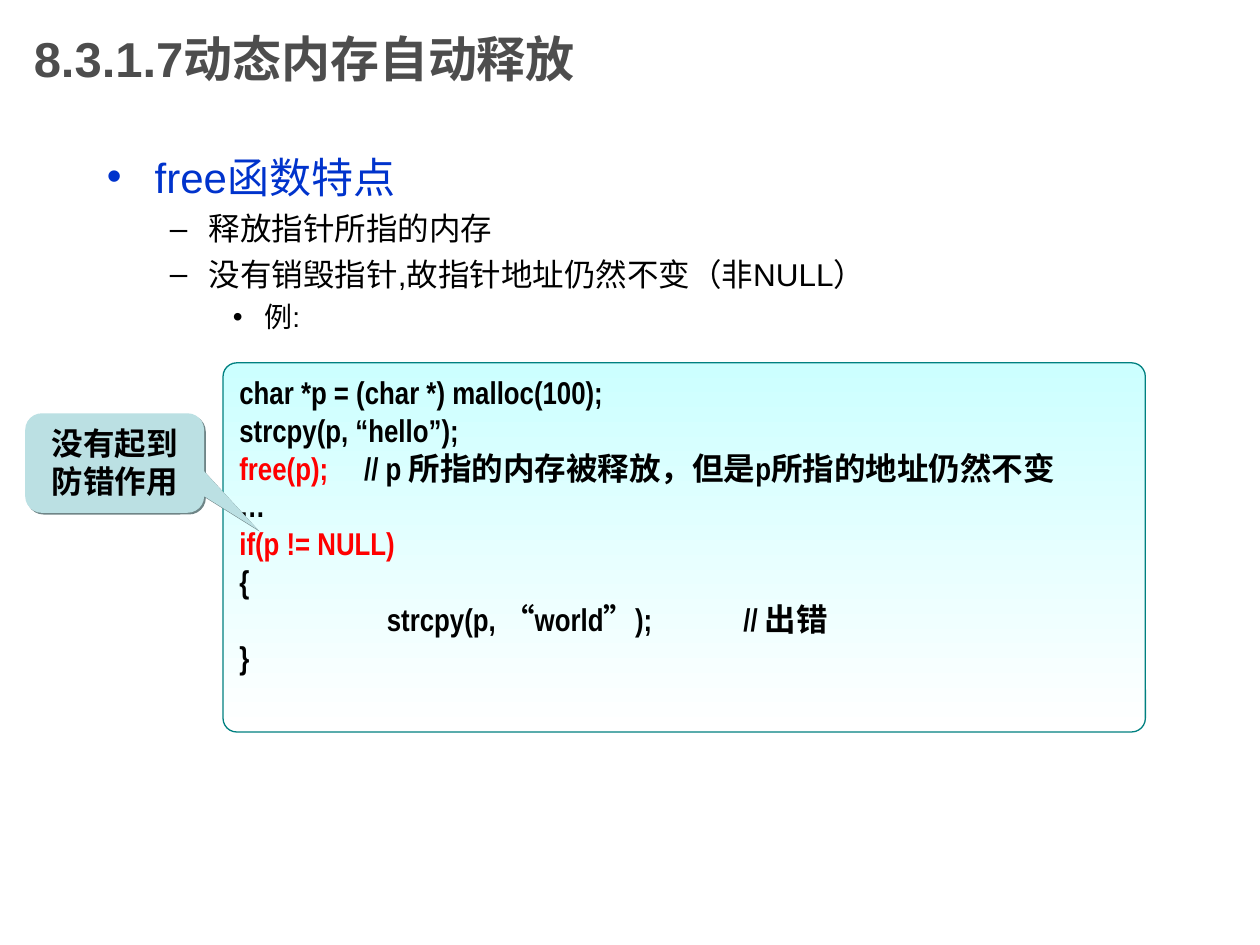
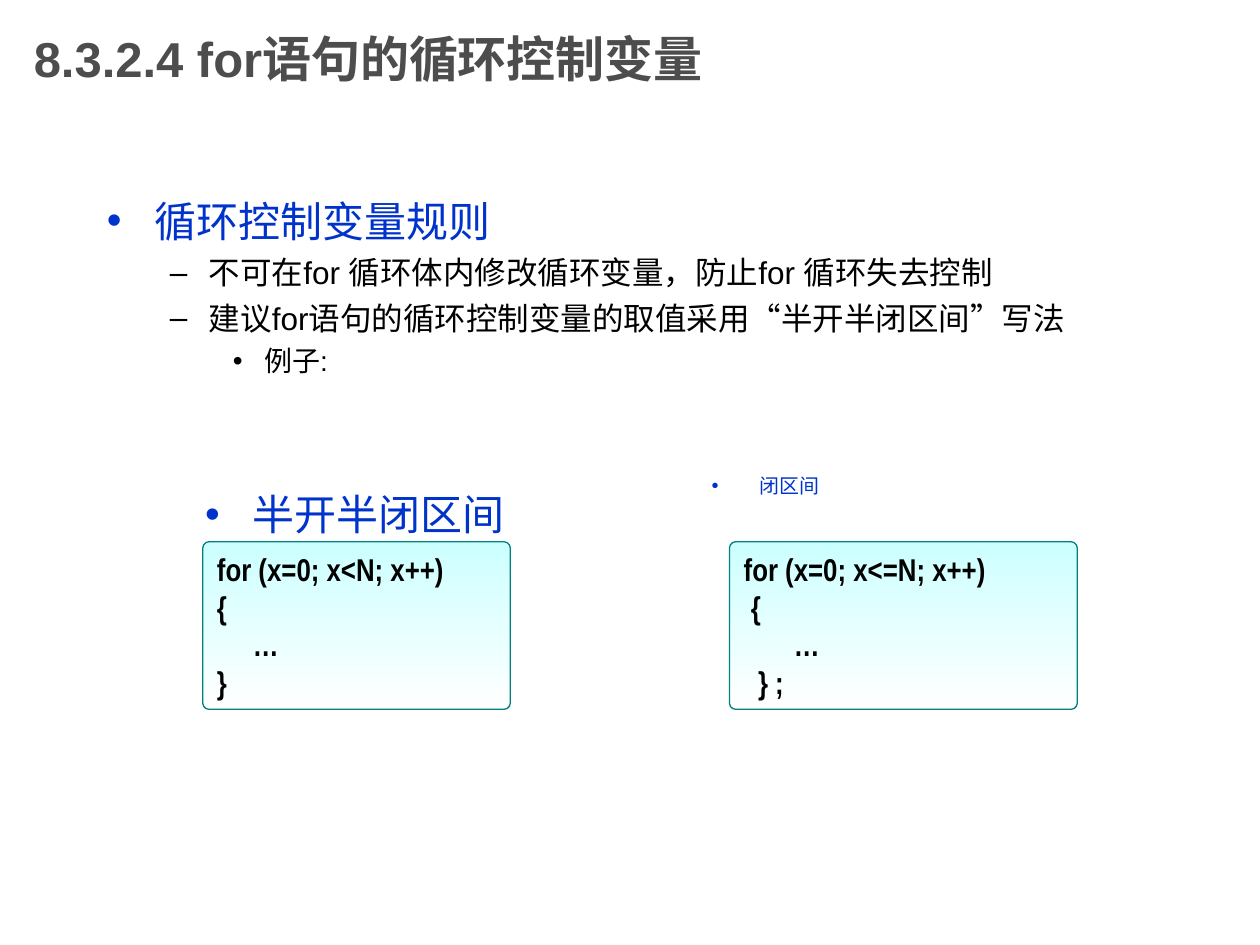
"""Build two slides on memory release and for-loop control variables."""
from lxml import etree
from pptx import Presentation
from pptx.dml.color import RGBColor
from pptx.enum.shapes import MSO_SHAPE
from pptx.enum.text import MSO_ANCHOR, PP_ALIGN
from pptx.oxml.ns import qn
from pptx.util import Inches, Pt

ROUNDED = MSO_SHAPE.ROUNDED_RECTANGLE
CALLOUT = MSO_SHAPE.ROUNDED_RECTANGULAR_CALLOUT
MIDDLE, TOP = MSO_ANCHOR.MIDDLE, MSO_ANCHOR.TOP
LEFT, CENTER = PP_ALIGN.LEFT, PP_ALIGN.CENTER

COLORS = {
    "title": "4D4D4D", "topic": "0033CC", "text": "000000", "alert": "FF0000",
    "code_top": "CCFFFF", "code_bottom": "FFFFFF", "code_line": "008080",
    "callout": "BBE0E3", "callout_shadow": "6F8587",
}
FONTS = {
    "title": {"name": "Arial", "size": Pt(28), "bold": True},
    "topic": {"name": "Arial", "size": Pt(24)},
    "point": {"name": "Arial", "size": Pt(18)},
    "example": {"name": "Arial", "size": Pt(16)},
    "small_topic": {"name": "Arial", "size": Pt(11.4)},
    "code": {"name": "Arial Narrow", "size": Pt(18), "bold": True},
}
BULLETS = {
    "topic": ("•", 0.38, 0.38, 6),
    "small_topic": ("•", 0.38, 0.38, 6),
    "point": ("–", 0.81, 0.31, 4.5),
    "example": ("•", 1.25, 0.25, 4),
}
TAB_STOPS = range(1, 9)

deck = Presentation()
deck.slide_width, deck.slide_height = Inches(10), Inches(7.5)
COLUMN, ROW = deck.slide_width / 100, deck.slide_height / 75


def add_box(page, cells, kind=None):
    """Place a text box or a shape on the grid of 100 columns and 75 rows."""
    left, top, width, height = cells
    area = [round(n) for n in (left * COLUMN, top * ROW, width * COLUMN, height * ROW)]
    box = page.shapes.add_shape(kind, *area) if kind else page.shapes.add_textbox(*area)
    box.text_frame.word_wrap = True
    box.text_frame.vertical_anchor = TOP
    return box


def write(box, lines, align=LEFT):
    """Write lines of (style, (text, color), ...) into a box."""
    for index, (style, *spans) in enumerate(lines):
        frame = box.text_frame
        para = frame.add_paragraph() if index else frame.paragraphs[0]
        para.alignment = align
        properties = para._p.get_or_add_pPr()
        if style in BULLETS:
            mark, margin, hanging, space = BULLETS[style]
            properties.set("marL", str(Inches(margin)))
            properties.set("indent", str(-Inches(hanging)))
            etree.SubElement(properties, qn("a:buFont"), typeface="Arial")
            etree.SubElement(properties, qn("a:buChar"), char=mark)
            if index:
                para.space_before = Pt(space)
        if style == "small_topic":
            para.line_spacing = 0.8
        if style == "code":
            tabs = etree.SubElement(properties, qn("a:tabLst"))
            for stop in TAB_STOPS:
                etree.SubElement(tabs, qn("a:tab"), pos=str(Inches(stop)), algn="l")
        for text, color in spans:
            span = para.add_run()
            span.text = text
            for name, value in FONTS[style].items():
                setattr(span.font, name, value)
            span.font.color.rgb = RGBColor.from_string(COLORS[color])


SLIDES = [
    {
        "title": "8.3.1.7动态内存自动释放",
        "outlines": [
            ((7.5, 11.5, 85, 17.3), [
                ("topic", ("free函数特点", "topic")),
                ("point", ("释放指针所指的内存", "text")),
                ("point", ("没有销毁指针,故指针地址仍然不变（非NULL）", "text")),
                ("example", ("例:", "text")),
            ]),
        ],
        "codes": [
            ((17.7, 28.8, 73.2, 29.3), [
                [("char *p = (char *) malloc(100);", "text")],
                [("strcpy(p, “hello”);", "text")],
                [("free(p);", "alert"),
                 ("     // p 所指的内存被释放，但是p所指的地址仍然不变", "text")],
                [("…", "text")],
                [("if(p != NULL)", "alert")],
                [("{", "text")],
                [("\t   strcpy(p, “world”);\t// 出错", "text")],
                [("}", "text")],
            ]),
        ],
        "callouts": [((2, 32.8, 14.2, 7.9), "没有起到防错作用")],
    },
    {
        "title": "8.3.2.4 for语句的循环控制变量",
        "outlines": [
            ((7.5, 15, 85, 19.4), [
                ("topic", ("循环控制变量规则", "topic")),
                ("point", ("不可在for 循环体内修改循环变量，防止for 循环失去控制", "text")),
                ("point", ("建议for语句的循环控制变量的取值采用“半开半闭区间”写法", "text")),
                ("example", ("例子:", "text")),
            ]),
            ((15.3, 38.3, 34.7, 23.6), [("topic", ("半开半闭区间", "topic"))]),
            ((55.5, 37.5, 41.7, 5.5), [("small_topic", ("闭区间", "topic"))]),
        ],
        "codes": [
            ((16.1, 43, 24.4, 13.3), [
                [(line, "text")] for line in ("for (x=0; x<N; x++)", "{", "     …", "}")
            ]),
            ((57.9, 43, 27.6, 13.3), [
                [(line, "text")] for line in ("for (x=0; x<=N; x++)", " {", "       …", "  } ;")
            ]),
        ],
        "callouts": [],
    },
]

for content in SLIDES:
    page = deck.slides.add_slide(deck.slide_layouts[6])

    title = add_box(page, (1.7, 0, 75, 9.2))
    title.text_frame.vertical_anchor = MIDDLE
    write(title, [("title", (content["title"], "title"))])

    for cells, lines in content["outlines"]:
        write(add_box(page, cells), lines)

    for cells, lines in content["codes"]:
        panel = add_box(page, cells, ROUNDED)
        panel.shadow.inherit = False
        panel.adjustments[0] = 0.037
        panel.fill.gradient()
        panel.fill.gradient_angle = 270
        for stop, color in zip(panel.fill.gradient_stops, ("code_top", "code_bottom")):
            stop.color.rgb = RGBColor.from_string(COLORS[color])
        for position, stop in enumerate(panel.fill.gradient_stops):
            stop.position = position
        panel.line.color.rgb = RGBColor.from_string(COLORS["code_line"])
        panel.line.width = Pt(0.75)
        write(panel, [("code", *spans) for spans in lines])

    for cells, text in content["callouts"]:
        callout = add_box(page, cells, CALLOUT)
        for index, value in enumerate((0.8, 0.67, 0.167)):
            callout.adjustments[index] = value
        callout.fill.solid()
        callout.fill.fore_color.rgb = RGBColor.from_string(COLORS["callout"])
        callout.line.fill.background()
        callout.shadow.inherit = False
        effects = callout._element.spPr.find(qn("a:effectLst"))
        shadow = etree.SubElement(effects, qn("a:outerShdw"), dist=str(Pt(1.4)),
                                  dir=str(45 * 60000), algn="ctr", rotWithShape="0")
        etree.SubElement(shadow, qn("a:srgbClr"), val=COLORS["callout_shadow"])
        write(callout, [("code", (text, "text"))], CENTER)

deck.save("out.pptx")
